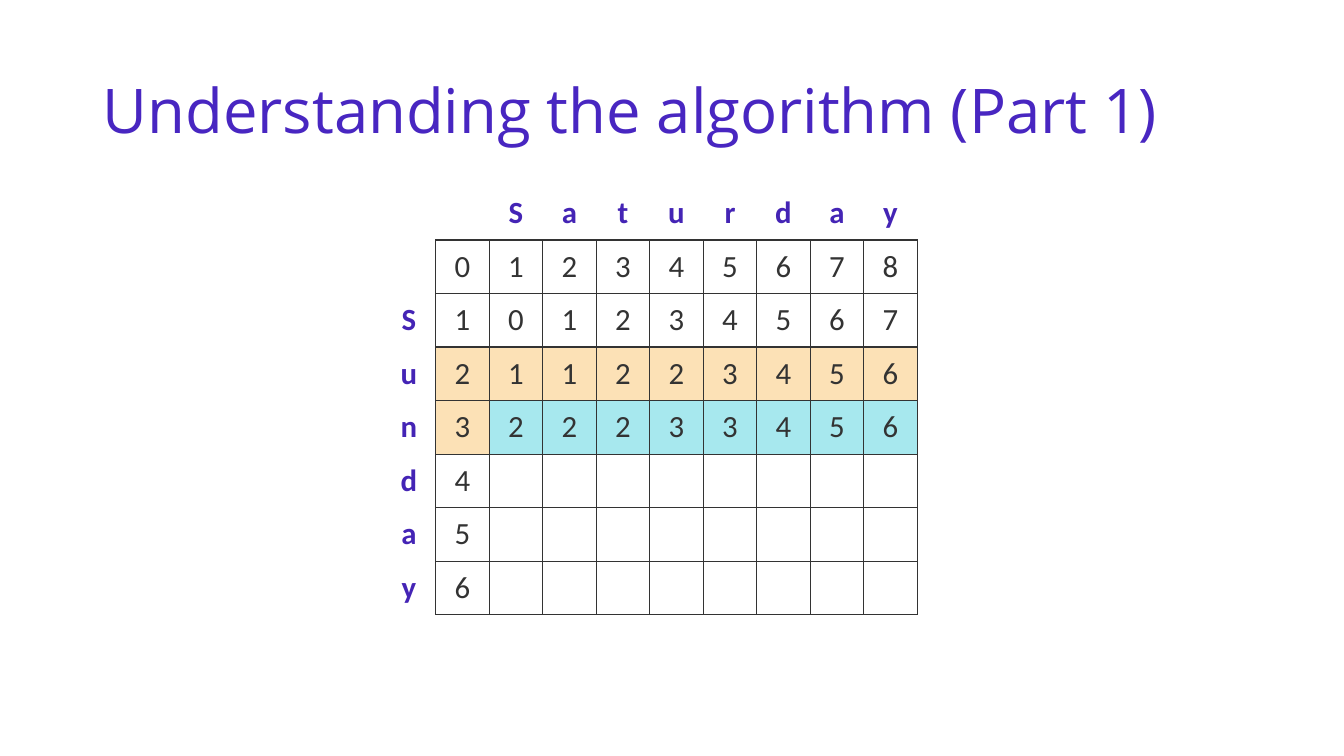
from dataclasses import dataclass

from lxml import etree
from pptx import Presentation
from pptx.dml.color import RGBColor
from pptx.enum.text import MSO_ANCHOR, MSO_AUTO_SIZE, PP_ALIGN
from pptx.oxml.ns import qn
from pptx.util import Inches, Pt

MIDDLE = MSO_ANCHOR.MIDDLE
NO_FIT = MSO_AUTO_SIZE.NONE
LEFT, CENTER = PP_ALIGN.LEFT, PP_ALIGN.CENTER


@dataclass(frozen=True)
class Theme:
    title: str = "4826C1"
    label: str = "4424B5"
    ink: str = "333333"
    paper: str = "FFFFFF"
    prior: str = "FCE1B6"
    current: str = "A7E8EE"
    head_font: str = "Open Sans"
    cell_font: str = "Calibri"
    head_size: int = 44
    cell_size: int = 22
    line: int = 1


THEME = Theme()
TITLE_BOX = (0.92, 0.4, 11.5, 1.45)
GRID_BOX = (3.79, 1.85, 5.31, 4.25)

# Distance matrix: one character per cell, space for an empty cell
GRID = [
    "  Saturday",
    " 012345678",
    "S101234567",
    "u211223456",
    "n322233456",
    "d4",
    "a5",
    "y6",
]
PRIOR_ROW, CURRENT_ROW = 3, 4


def style(run, font, size, color, bold=False):
    run.font.name = font
    run.font.size = Pt(size)
    run.font.bold = bold
    run.font.color.rgb = RGBColor.from_string(color)


def add_title(slide, box, text):
    title = slide.shapes.title
    title.left, title.top, title.width, title.height = map(Inches, box)
    frame = title.text_frame
    frame.text = text
    frame.auto_size = NO_FIT
    frame.vertical_anchor = MIDDLE
    para = frame.paragraphs[0]
    para.alignment = LEFT
    para.line_spacing = 0.9
    style(para.runs[0], THEME.head_font, THEME.head_size, THEME.title)


def set_edges(cell, row, col):
    """Rule the matrix cells and the label edges that touch them."""
    inner = row > 0 and col > 0
    ruled = {
        "lnL": inner,
        "lnR": inner or row > 0,
        "lnT": inner,
        "lnB": inner or (row == 0 and col > 0),
    }
    props = cell._tc.get_or_add_tcPr()
    for tag, shown in ruled.items():
        edge = etree.SubElement(props, qn(f"a:{tag}"), w=str(Pt(THEME.line)))
        if shown:
            fill = etree.SubElement(edge, qn("a:solidFill"))
            etree.SubElement(fill, qn("a:srgbClr"), val=THEME.ink)
        else:
            etree.SubElement(edge, qn("a:noFill"))


def cell_fill(row, col):
    if row == CURRENT_ROW and col > 1:
        return THEME.current
    if col > 0 and row == PRIOR_ROW or (row, col) == (CURRENT_ROW, 1):
        return THEME.prior
    return THEME.paper


def fill_cell(cell, row, col, text):
    set_edges(cell, row, col)
    cell.fill.solid()
    cell.fill.fore_color.rgb = RGBColor.from_string(cell_fill(row, col))
    cell.vertical_anchor = MIDDLE
    cell.margin_left = cell.margin_right = Inches(0.12)
    cell.margin_top = cell.margin_bottom = Inches(0.06)
    if text:
        cell.text_frame.text = text
        para = cell.text_frame.paragraphs[0]
        para.alignment = CENTER
        label = row == 0 or col == 0
        color = THEME.label if label else THEME.ink
        style(para.runs[0], THEME.cell_font, THEME.cell_size, color, label)


def add_grid(slide, box, lines):
    rows, cols = len(lines), len(lines[0])
    left, top, width, height = map(Inches, box)
    table = slide.shapes.add_table(rows, cols, left, top, width, height).table
    table.first_row = table.horz_banding = False
    for row, line in enumerate(lines):
        for col, mark in enumerate(line.ljust(cols)):
            fill_cell(table.cell(row, col), row, col, mark.strip())


def main():
    deck = Presentation()
    deck.slide_width, deck.slide_height = Inches(13.33), Inches(7.5)
    slide = deck.slides.add_slide(deck.slide_layouts[5])
    add_title(slide, TITLE_BOX, "Understanding the algorithm (Part 1)")
    add_grid(slide, GRID_BOX, GRID)
    deck.save("out.pptx")


if __name__ == "__main__":
    main()
